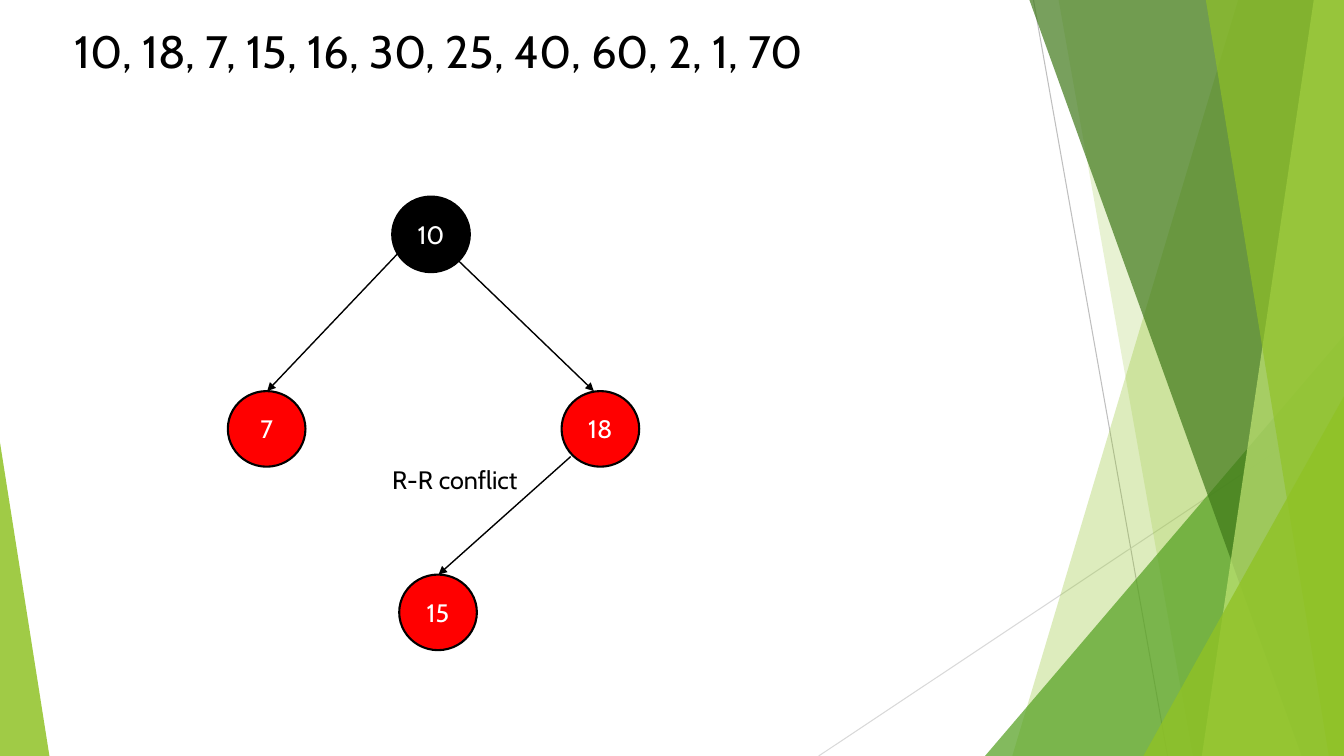
"""Build a slide showing a red-red conflict in a red-black tree."""
from typing import NamedTuple

from lxml.etree import SubElement
from pptx import Presentation
from pptx.dml.color import RGBColor
from pptx.enum.shapes import MSO_CONNECTOR as Connector, MSO_SHAPE as Preset
from pptx.enum.text import MSO_ANCHOR as Anchor, PP_ALIGN as Align
from pptx.oxml.ns import qn
from pptx.shapes.autoshape import Shape
from pptx.slide import Slide
from pptx.text.text import TextFrame
from pptx.util import Inches, Pt

WIDTH, HEIGHT = 13.33, 7.5
NODE_WIDTH, NODE_HEIGHT = 0.77, 0.75
FONT = "Cabin"
BLACK = RGBColor(0x00, 0x00, 0x00)
WHITE = RGBColor(0xFF, 0xFF, 0xFF)
RED = RGBColor(0xFF, 0x00, 0x00)
LIME = RGBColor(0x90, 0xC2, 0x26)
PALE_LIME = RGBColor(0xC0, 0xE4, 0x74)
GREEN = RGBColor(0x54, 0xA0, 0x21)
DARK_GREEN = RGBColor(0x3F, 0x78, 0x19)
GRAY = RGBColor(0xBF, 0xBF, 0xBF)
LIGHT_GRAY = RGBColor(0xD9, 0xD9, 0xD9)


class Line(NamedTuple):
    """A straight line between two points."""
    start: tuple[float, float]
    end: tuple[float, float]
    color: RGBColor = BLACK
    weight: float = 1
    arrow: bool = True


class Band(NamedTuple):
    """A translucent band reaching the right edge of the slide."""
    top_left: float
    bottom_left: float
    color: RGBColor
    opacity: int


class Triangle(NamedTuple):
    """A translucent right triangle standing on the bottom edge."""
    left: float
    top: float
    width: float
    apex: float
    color: RGBColor
    opacity: int


class Node(NamedTuple):
    """A tree node with its key."""
    key: str
    left: float
    top: float
    color: RGBColor


class Label(NamedTuple):
    """A plain line of text."""
    text: str
    left: float
    top: float
    width: float
    height: float
    size: float


BACK_LINES = [
    Line((10.25, 0), (11.58, HEIGHT), GRAY, 0.75, False),
    Line((WIDTH, 4.03), (8.12, HEIGHT), LIGHT_GRAY, 0.75, False),
]
DECORATION = [
    Band(12.28, 10.04, LIME, 30),
    Band(10.5, 11.83, LIME, 20),
    Triangle(9.77, 3.33, 3.56, 1, GREEN, 72),
    Band(10.21, 12.91, DARK_GREEN, 70),
    Band(13.03, 11.92, PALE_LIME, 70),
    Band(11.96, 13.18, LIME, 65),
    Triangle(11.34, 3.93, 1.99, 1, LIME, 80),
    Triangle(0, 4.39, 0.49, 0, LIME, 85),
]
NODES = [
    Node("10", 3.89, 1.95, BLACK),
    Node("18", 5.57, 3.88, RED),
    Node("7", 2.26, 3.88, RED),
    Node("15", 3.96, 5.7, RED),
]
EDGES = [
    Line((4.55, 2.59), (5.89, 3.88)),
    Line((3.96, 2.5), (2.65, 3.88)),
    Line((5.66, 4.53), (4.35, 5.7)),
]
LABELS = [
    Label("10, 18, 7, 15, 16, 30, 25, 40, 60, 2, 1, 70", 0.64, 0.18, 9.4, 0.62, 32.4),
    Label("R-R conflict", 3.79, 4.56, 1.59, 0.4, 18),
]


def write(frame: TextFrame, text: str, size: float, color: RGBColor) -> None:
    """Set one line of formatted text."""
    frame.text = text
    frame.word_wrap = True
    font = frame.paragraphs[0].runs[0].font
    font.name, font.size = FONT, Pt(size)
    font.color.rgb = color


def paint(shape: Shape, color: RGBColor, opacity: int = 100) -> None:
    """Fill a shape and remove its shadow."""
    shape.shadow.inherit = False
    shape.fill.solid()
    shape.fill.fore_color.rgb = color
    if opacity < 100:
        tint = shape.fill._xPr.find(qn("a:solidFill"))[0]
        SubElement(tint, qn("a:alpha"), val=str(opacity * 1000))


def draw_line(page: Slide, line: Line) -> None:
    """Draw a line, with an arrowhead if it has one."""
    points = [Inches(value) for value in line.start + line.end]
    connector = page.shapes.add_connector(Connector.STRAIGHT, *points)
    connector.line.color.rgb = line.color
    connector.line.width = Pt(line.weight)
    if line.arrow:
        SubElement(connector.line._get_or_add_ln(), qn("a:tailEnd"), type="triangle")
    SubElement(connector._element.spPr, qn("a:effectLst"))


def draw_decoration(page: Slide, item: Band | Triangle) -> None:
    """Draw a band or triangle of the slide border."""
    if isinstance(item, Band):
        builder = page.shapes.build_freeform(Inches(item.top_left), 0)
        corners = [(WIDTH, 0), (WIDTH, HEIGHT), (item.bottom_left, HEIGHT)]
        builder.add_line_segments([(Inches(x), Inches(y)) for x, y in corners])
        shape = builder.convert_to_shape()
    else:
        shape = page.shapes.add_shape(
            Preset.ISOSCELES_TRIANGLE, Inches(item.left), Inches(item.top),
            Inches(item.width), Inches(HEIGHT - item.top))
        shape.adjustments[0] = item.apex
    paint(shape, item.color, item.opacity)
    shape.line.fill.background()


def draw_node(page: Slide, node: Node) -> None:
    """Draw a round node with its key in the middle."""
    shape = page.shapes.add_shape(
        Preset.FLOWCHART_CONNECTOR, Inches(node.left), Inches(node.top),
        Inches(NODE_WIDTH), Inches(NODE_HEIGHT))
    paint(shape, node.color)
    shape.line.color.rgb = BLACK
    shape.line.width = Pt(1.5)
    write(shape.text_frame, node.key, 18, WHITE)
    shape.text_frame.vertical_anchor = Anchor.MIDDLE
    shape.text_frame.paragraphs[0].alignment = Align.CENTER


def draw_label(page: Slide, label: Label) -> None:
    """Place a text box."""
    box = page.shapes.add_textbox(
        Inches(label.left), Inches(label.top), Inches(label.width), Inches(label.height))
    write(box.text_frame, label.text, label.size, BLACK)


def main() -> None:
    """Assemble and save the slide."""
    deck = Presentation()
    deck.slide_width, deck.slide_height = Inches(WIDTH), Inches(HEIGHT)
    page = deck.slides.add_slide(deck.slide_layouts[6])
    for line in BACK_LINES:
        draw_line(page, line)
    for item in DECORATION:
        draw_decoration(page, item)
    for node in NODES:
        draw_node(page, node)
    for edge in EDGES:
        draw_line(page, edge)
    for label in LABELS:
        draw_label(page, label)
    deck.save("out.pptx")


if __name__ == "__main__":
    main()
